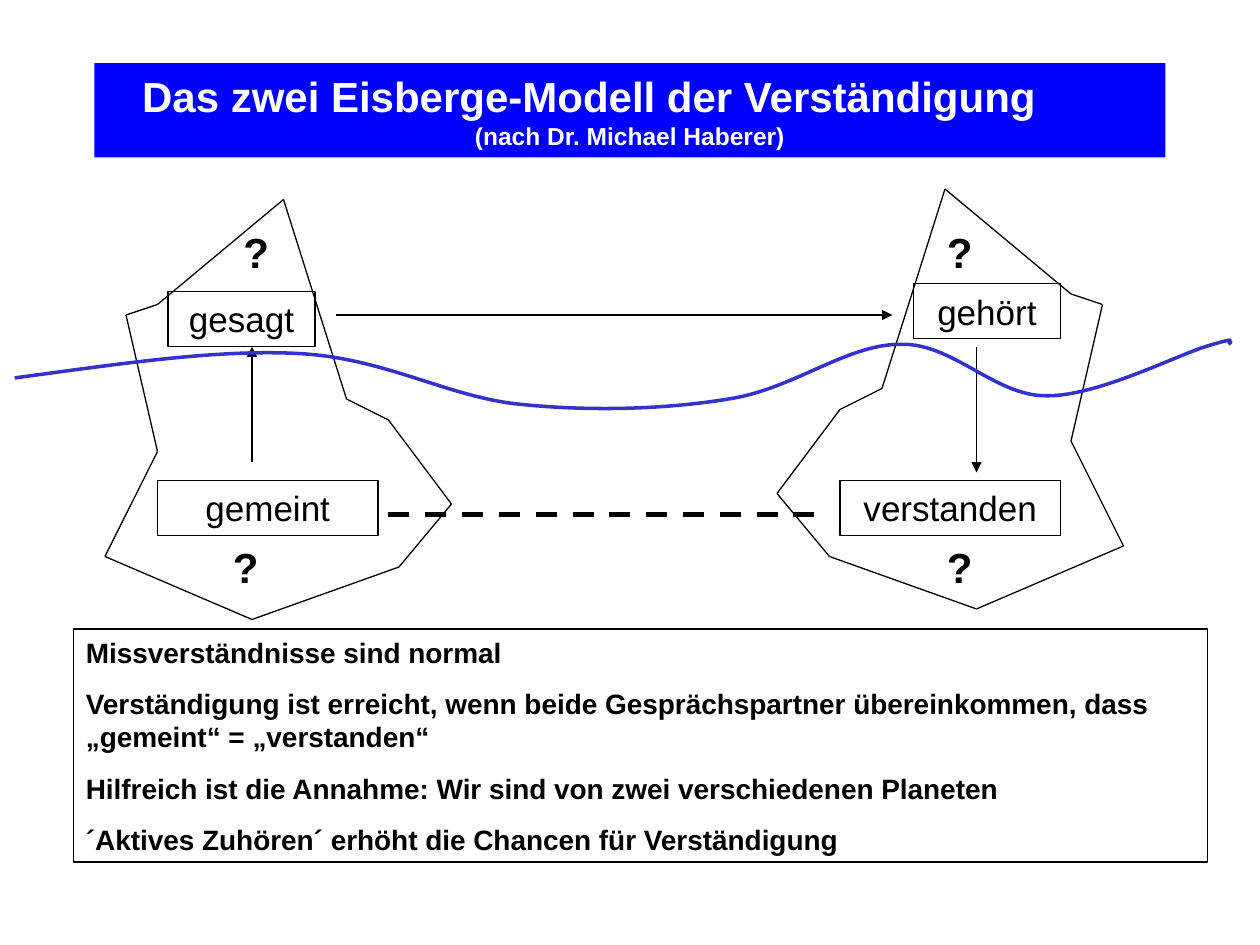
from lxml import etree
from pptx import Presentation
from pptx import util as u
from pptx.dml.color import RGBColor
from pptx.enum import dml, shapes, text
from pptx.oxml.ns import qn

FONT = "Arial"
BLACK, WHITE, BLUE, WATER = "000000", "FFFFFF", "0000FF", "3333CC"
COLS, WIDTH = 120, 10  # grid of 120 square cells across the slide

# Left iceberg outline in grid cells; the right one is its mirror
BERG = [(27, 19), (33, 38), (37, 40), (43, 48), (38, 54),
        (24, 59), (10, 53), (15, 43), (12, 30), (15, 29)]
MIRROR, RISE = 117, 1

# Start of the water line, then three control points for each curve
WAVE = [(1.4, 36),
        (11.2, 34.7), (20.8, 33.2), (28.8, 33.7),
        (36.8, 34.2), (42.7, 37.8), (49.4, 38.5),
        (56.2, 39.2), (63.4, 39), (69.4, 38),
        (75.5, 37.1), (80.6, 32.8), (85.7, 32.8),
        (90.7, 32.6), (94.7, 37.7), (99.6, 37.7),
        (104.5, 37.8), (112.3, 33.7), (115.2, 32.9),
        (118.2, 32), (116.8, 32.6), (117.1, 32.6),
        (117.4, 32.6), (117.1, 32.6), (117, 32.8)]

WORDS = [("gemeint", 15, 45.75, 21), ("gesagt", 16, 27.75, 14),
         ("gehört", 87, 27, 14), ("verstanden", 80, 45.75, 21)]
MARKS = [(22, 21), (89, 21), (89, 51), (21, 51)]
NOTES = [
    "Missverständnisse sind normal",
    "Verständigung ist erreicht, wenn beide Gesprächspartner "
    "übereinkommen, dass „gemeint“ = „verstanden“",
    "Hilfreich ist die Annahme: Wir sind von zwei verschiedenen Planeten",
    "´Aktives Zuhören´ erhöht die Chancen für Verständigung",
]


def cell(n):
    return u.Inches(n * WIDTH / COLS)


def color(code):
    return RGBColor.from_string(code)


def write(frame, lines, size, bold=False, ink=BLACK, align="LEFT", gap=0):
    frame.word_wrap = True
    frame.text = "\n".join(lines)
    for i, para in enumerate(frame.paragraphs):
        para.alignment = getattr(text.PP_ALIGN, align)
        para.space_before = u.Pt(gap if i else 0)
        for run in para.runs:
            font = run.font
            font.name, font.size, font.bold = FONT, u.Pt(size), bold
            font.color.rgb = color(ink)


def box(slide, x, y, w, h, fill=None):
    rect = slide.shapes.add_shape(
        shapes.MSO_SHAPE.RECTANGLE, cell(x), cell(y), cell(w), cell(h))
    rect.shadow.inherit = False
    if fill:
        rect.fill.solid()
        rect.fill.fore_color.rgb = color(fill)
        rect.line.fill.background()
    else:
        rect.fill.background()
        rect.line.color.rgb = color(BLACK)
        rect.line.width = u.Pt(0.75)
    rect.text_frame.vertical_anchor = text.MSO_ANCHOR.MIDDLE
    return rect


def line(slide, start, end, width=0.75, arrow=False, dash=False):
    link = slide.shapes.add_connector(
        shapes.MSO_CONNECTOR.STRAIGHT, *map(cell, (*start, *end)))
    link.line.color.rgb = color(BLACK)
    link.line.width = u.Pt(width)
    if dash:
        link.line.dash_style = dml.MSO_LINE.DASH
    props = link._element.spPr
    if arrow:
        etree.SubElement(props.find(qn("a:ln")), qn("a:tailEnd"),
                         type="triangle")
    etree.SubElement(props, qn("a:effectLst"))


def berg(slide, points):
    for start, end in zip(points, points[1:] + points[:1]):
        line(slide, start, end)


def wave(slide, points):
    spots = [(cell(x), cell(y)) for x, y in points]
    pen = slide.shapes.build_freeform(*spots[0])
    pen.add_line_segments(spots[1:], close=False)
    curve = pen.convert_to_shape()
    curve.shadow.inherit = False
    curve.fill.background()
    curve.line.color.rgb = color(WATER)
    curve.line.width = u.Pt(2)
    # Turn each three straight steps into one cubic curve
    track = curve._element.find(".//" + qn("a:path"))
    steps = track.findall(qn("a:lnTo"))
    for i in range(0, len(steps), 3):
        bend = etree.SubElement(track, qn("a:cubicBezTo"))
        for step in steps[i:i + 3]:
            bend.append(step[0])
            track.remove(step)


def title(slide):
    frame = box(slide, 9, 6, 102, 9, BLUE).text_frame
    write(frame, ["Das zwei Eisberge-Modell der Verständigung",
                  "(nach Dr. Michael Haberer)"], 24, True, WHITE, "CENTER")
    # The heading sits left of centre
    head, credit = frame.paragraphs
    head.alignment = text.PP_ALIGN.LEFT
    head._p.get_or_add_pPr().set("marL", str(u.Inches(0.28)))
    credit.runs[0].font.size = u.Pt(14)


def main():
    deck = Presentation()
    deck.slide_width, deck.slide_height = u.Inches(WIDTH), u.Inches(7.5)
    slide = deck.slides.add_slide(deck.slide_layouts[6])

    title(slide)

    # Icebergs
    berg(slide, BERG)
    berg(slide, [(MIRROR - x, y - RISE) for x, y in BERG])

    # Words and the links between them
    for word, x, y, w in WORDS:
        write(box(slide, x, y, w, 5.25).text_frame, [word], 20,
              align="CENTER")
    line(slide, (24, 44), (24, 33), arrow=True)
    line(slide, (32, 30), (85, 30), arrow=True)
    line(slide, (93, 33), (93, 45), arrow=True)
    line(slide, (37, 49), (79, 49), width=3, dash=True)

    # Notes
    write(box(slide, 7, 59.9, 108, 22.2).text_frame, NOTES, 16, True, gap=10)

    # Question marks
    for x, y in MARKS:
        mark = slide.shapes.add_textbox(cell(x), cell(y), cell(6), cell(6))
        write(mark.text_frame, ["?"], 24, True)

    # Water line
    wave(slide, WAVE)

    deck.save("out.pptx")


if __name__ == "__main__":
    main()
